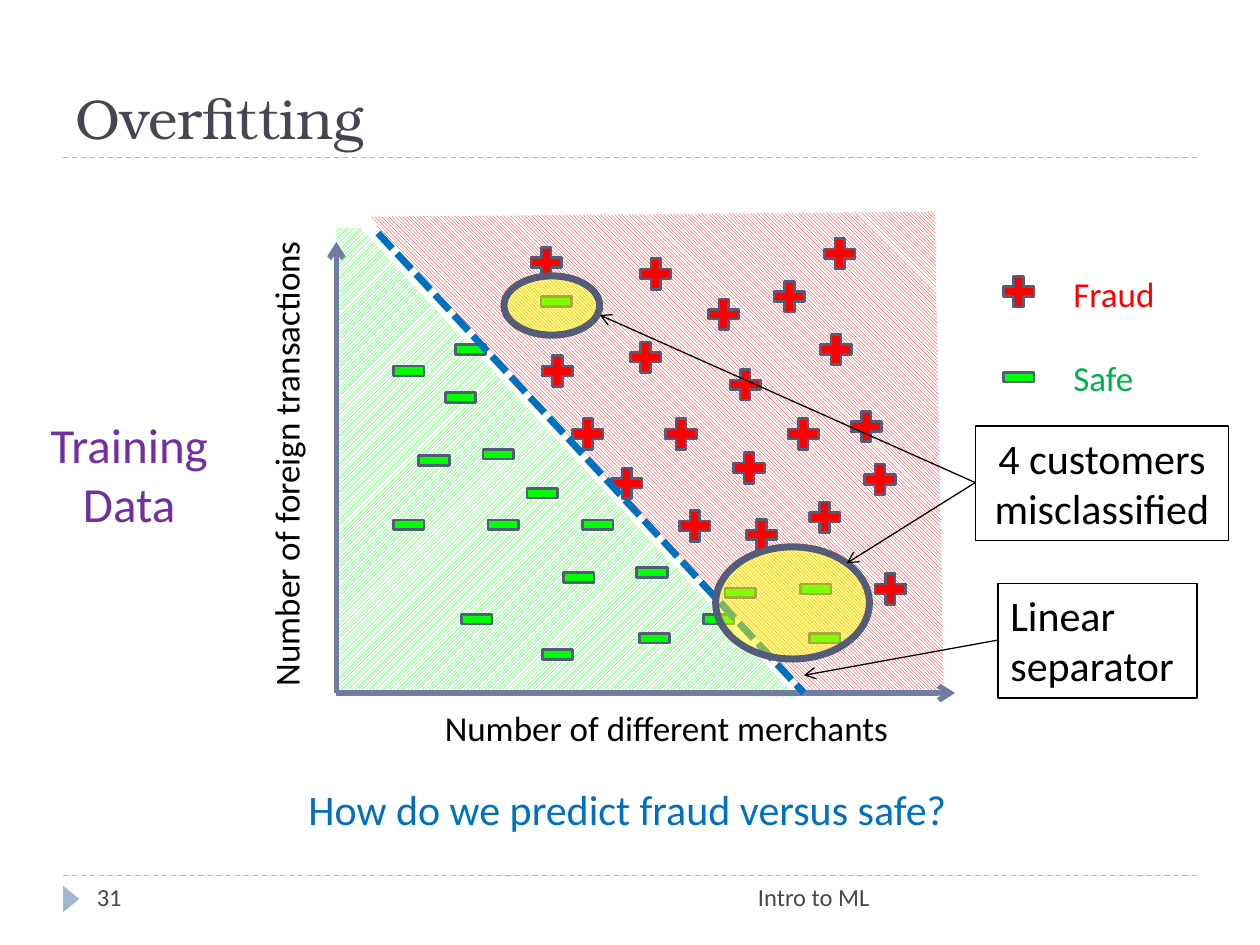
import pptx
import pptx.util
import pptx.dml.color
import pptx.enum.dml
import pptx.enum.shapes
import pptx.enum.text
import pptx.oxml
import pptx.oxml.ns

RGBColor = pptx.dml.color.RGBColor
Pt = pptx.util.Pt
SHAPE = pptx.enum.shapes.MSO_SHAPE
DASH = pptx.enum.dml.MSO_LINE
PATTERN = pptx.enum.dml.MSO_PATTERN
ALIGN = pptx.enum.text.PP_ALIGN
ANCHOR = pptx.enum.text.MSO_ANCHOR

PX = 9144  # 100 px to the inch

BLACK = RGBColor(0x00, 0x00, 0x00)
WHITE = RGBColor(0xFF, 0xFF, 0xFF)
HEADING = RGBColor(0x46, 0x46, 0x53)
RULE = RGBColor(0x9F, 0xB8, 0xCD)
AXIS = RGBColor(0x72, 0x7C, 0xA3)
OUTLINE = RGBColor(0x54, 0x5C, 0x79)
RED = RGBColor(0xFF, 0x00, 0x00)
LIME = RGBColor(0x00, 0xFF, 0x00)
GREEN = RGBColor(0x00, 0xB0, 0x50)
BLUE = RGBColor(0x00, 0x70, 0xC0)
PURPLE = RGBColor(0x70, 0x30, 0xA0)
YELLOW = RGBColor(0xFF, 0xFF, 0x00)

deck = pptx.Presentation()
deck.slide_width = 1000 * PX
deck.slide_height = 750 * PX
page = deck.slides.add_slide(deck.slide_layouts[5])


def add_text(parent, words, frame, size, color, align=ALIGN.LEFT):
    box = parent.add_textbox(*[n * PX for n in frame])
    box.text_frame.word_wrap = True
    box.text_frame.text = words
    para = box.text_frame.paragraphs[0]
    para.alignment = align
    font = para.runs[0].font
    font.name, font.size = "Calibri", Pt(size)
    font.color.rgb = color
    return box


def add_line(ends, color, width, dash=None, arrow=False):
    line = page.shapes.add_connector(
        pptx.enum.shapes.MSO_CONNECTOR.STRAIGHT, *[n * PX for n in ends])
    line.line.color.rgb = color
    line.line.width = Pt(width)
    if dash:
        line.line.dash_style = dash
    if arrow:
        head = pptx.oxml.parse_xml(
            f'<a:tailEnd {pptx.oxml.ns.nsdecls("a")} type="arrow"/>')
        line.line._get_or_add_ln().append(head)
    properties = line._element.spPr
    properties.append(properties.makeelement(pptx.oxml.ns.qn("a:effectLst"), {}))


# Title, rules and footer
title = page.shapes.title
title.left, title.top, title.width, title.height = [n * PX for n in (50, 25, 900, 100)]
title.text_frame.text = "Overfitting"
title.text_frame.vertical_anchor = ANCHOR.BOTTOM
heading = title.text_frame.paragraphs[0]
heading.alignment = ALIGN.LEFT
heading.runs[0].font.name = "TeX Gyre Bonum"
heading.runs[0].font.size = Pt(32)
heading.runs[0].font.color.rgb = HEADING

for y in (125, 695):
    add_line((50, y, 950, y), RULE, 0.75, DASH.DASH)

marker = page.shapes.add_shape(
    SHAPE.ISOSCELES_TRIANGLE, 46 * PX, 707 * PX, 21 * PX, 13 * PX)
marker.rotation = 90
marker.shadow.inherit = False
marker.fill.solid()
marker.fill.fore_color.rgb = RULE
marker.line.fill.background()

add_text(page.shapes, "31", (67, 695, 217, 40), 14, HEADING)
add_text(page.shapes, "Intro to ML", (317, 695, 383, 40), 14, HEADING, ALIGN.RIGHT)

# Hatched regions on either side of the separator
regions = [
    (PATTERN.LIGHT_UPWARD_DIAGONAL, LIME,
     [(286, 181), (632, 553), (269, 549), (267, 181)]),
    (PATTERN.LIGHT_DOWNWARD_DIAGONAL, RED,
     [(301, 182), (639, 550), (749, 549), (742, 168), (294, 172)]),
]
for pattern, color, corners in regions:
    builder = page.shapes.build_freeform(*corners[0], scale=PX)
    builder.add_line_segments(corners[1:], close=True)
    region = builder.convert_to_shape()
    region.shadow.inherit = False
    region.fill.patterned()
    region.fill.pattern = pattern
    region.fill.fore_color.rgb = color
    region.fill.back_color.rgb = WHITE
    region.line.fill.background()

# Axes and their labels
for tip in ((758, 550), (267, 192)):
    add_line((267, 550, *tip), AXIS, 3, arrow=True)
add_text(page.shapes, "Number of different merchants", (300, 556, 458, 44),
         20, BLACK, ALIGN.CENTER)
vertical_label = add_text(page.shapes, "Number of foreign transactions",
                          (-2, 346, 458, 44), 20, BLACK, ALIGN.CENTER)
vertical_label.rotation = 270

# Customers and legend: top left corners of equal marks
fraud = [
    (558, 233), (450, 328), (638, 394), (682, 364), (426, 278), (417, 192),
    (496, 267), (504, 201), (575, 289), (647, 261), (650, 185), (481, 367),
    (690, 451), (578, 355), (588, 408), (535, 401), (524, 328), (621, 328),
    (671, 322), (610, 219),
]
safe = [
    (383, 400), (414, 375), (501, 438), (554, 475), (379, 344), (308, 278),
    (308, 400), (362, 475), (443, 442), (328, 349), (425, 223), (458, 400),
    (631, 451), (571, 454), (349, 299), (357, 261), (503, 490), (426, 503),
    (638, 490),
]
legend = page.shapes.add_group_shape().shapes
customers = page.shapes.add_group_shape().shapes
marks = [
    (legend, SHAPE.MATH_PLUS, RED, [(792, 215)]),
    (legend, SHAPE.MATH_MINUS, LIME, [(792, 283)]),
    (customers, SHAPE.MATH_PLUS, RED, fraud),
    (customers, SHAPE.MATH_MINUS, LIME, safe),
]
for group, kind, color, corners in marks:
    for x, y in corners:
        mark = group.add_shape(kind, x * PX, y * PX, 33 * PX, 33 * PX)
        mark.shadow.inherit = False
        mark.fill.solid()
        mark.fill.fore_color.rgb = color
        mark.line.color.rgb = OUTLINE
        mark.line.width = Pt(1.5)
add_text(legend, "Fraud", (842, 211, 133, 44), 20, RED)
add_text(legend, "Safe", (842, 278, 133, 44), 20, GREEN)

# Separator, highlighted errors and callouts
add_line((300, 185, 638, 550), BLUE, 4, DASH.SQUARE_DOT)

for frame in ((568, 434, 122, 89), (400, 219, 76, 47)):
    highlight = page.shapes.add_shape(SHAPE.OVAL, *[n * PX for n in frame])
    highlight.shadow.inherit = False
    highlight.fill.solid()
    highlight.fill.fore_color.rgb = YELLOW
    tint = highlight._element.spPr.find(".//" + pptx.oxml.ns.qn("a:srgbClr"))
    tint.append(tint.makeelement(pptx.oxml.ns.qn("a:alpha"), {"val": "49000"}))
    highlight.line.color.rgb = OUTLINE
    highlight.line.width = Pt(4)

callouts = [
    ("Linear separator", (792, 463, 158, 91), ALIGN.LEFT),
    ("4 customers misclassified", (774, 338, 201, 91), ALIGN.CENTER),
]
for words, frame, align in callouts:
    callout = add_text(page.shapes, words, frame, 24, BLACK, align)
    callout.line.color.rgb = BLACK
    callout.line.width = Pt(0.75)

for ends in ((792, 508, 638, 536), (774, 383, 672, 447), (774, 383, 476, 250)):
    add_line(ends, BLACK, 0.75, arrow=True)

add_text(page.shapes, "How do we predict fraud versus safe?", (205, 617, 586, 50),
         24, BLUE, ALIGN.CENTER)
add_text(page.shapes, "Training Data", (25, 324, 155, 104), 28, PURPLE, ALIGN.CENTER)

deck.save("out.pptx")
